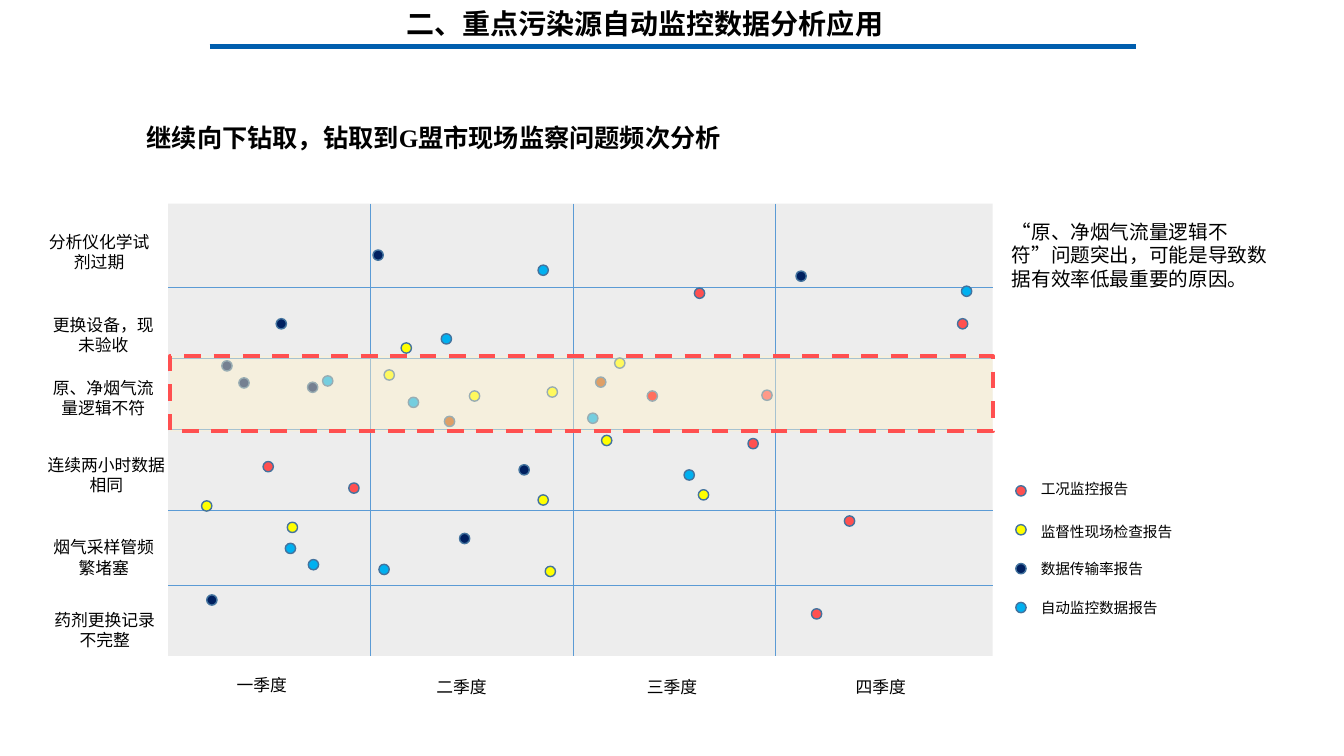
from lxml import etree
from pptx import Presentation
from pptx.dml.color import RGBColor
from pptx.enum.dml import MSO_LINE
from pptx.enum.lang import MSO_LANGUAGE_ID
from pptx.enum.shapes import MSO_CONNECTOR, MSO_SHAPE
from pptx.enum.text import PP_ALIGN
from pptx.oxml.ns import qn
from pptx.util import Cm, Pt

LEFT, CENTER = PP_ALIGN.LEFT, PP_ALIGN.CENTER
STRAIGHT = MSO_CONNECTOR.STRAIGHT
RECT, OVAL = MSO_SHAPE.RECTANGLE, MSO_SHAPE.OVAL
DASH = MSO_LINE.DASH
CHINESE = MSO_LANGUAGE_ID.SIMPLIFIED_CHINESE
SANS, SERIF = "Noto Sans CJK SC", "Times New Roman"

BLACK = RGBColor(0x00, 0x00, 0x00)
RULE_BLUE = RGBColor(0x00, 0x5E, 0xAE)
GRID_BLUE = RGBColor(0x5B, 0x9B, 0xD5)
DOT_LINE = RGBColor(0x43, 0x73, 0x9E)
PLOT_GREY = RGBColor(0xED, 0xED, 0xED)
CREAM = RGBColor(0xFF, 0xF2, 0xCC)
NAVY = RGBColor(0x00, 0x20, 0x60)
SKY = RGBColor(0x00, 0xB0, 0xF0)
ORANGE = RGBColor(0xC5, 0x5A, 0x11)
YELLOW = RGBColor(0xFF, 0xFF, 0x00)
CORAL = RGBColor(0xFF, 0x50, 0x50)
RED = RGBColor(0xFF, 0x00, 0x00)

DOT = 0.26
# Positions in cm from the top left corner of the plot
DOTS = [
    (NAVY, [(0.97, 9.86), (7.34, 8.31), (8.84, 6.58), (15.82, 1.7), (5.16, 1.17),
            (2.72, 2.9), (3.51, 4.5), (1.35, 3.96), (1.78, 4.39)]),
    (SKY, [(5.31, 9.09), (10.57, 5.28), (13, 6.71), (19.99, 2.08), (9.32, 1.55),
           (6.88, 3.28), (6.05, 4.88), (2.95, 8.56), (3.89, 4.34), (3.53, 8.97)]),
    (ORANGE, [(6.96, 5.36), (10.77, 4.37)]),
    (YELLOW, [(10.92, 5.84), (13.36, 7.21), (3, 8.03), (7.59, 4.72), (9.55, 4.62),
              (11.25, 3.89), (9.32, 7.34), (9.5, 9.14), (0.84, 7.49), (5.44, 4.19),
              (5.87, 3.51)]),
    (CORAL, [(19.89, 2.9), (17.04, 7.87), (16.21, 10.21), (13.26, 2.13),
             (14.96, 4.7), (4.55, 7.04), (14.61, 5.92), (2.39, 6.5)]),
    (RED, [(12.07, 4.72)]),
]
ROW_LINES = [2.11, 3.91, 5.69, 7.72, 9.63]
ROWS = [  # label, top, width, font
    ("分析仪化学试剂过期", 0.58, 3.12, SERIF),
    ("更换设备，现未验收", 2.67, 3.33, SERIF),
    ("原、净烟气流量逻辑不符", 4.27, 3.33, SANS),
    ("连续两小时数据相同", 6.2, 3.48, SERIF),
    ("烟气采样管频繁堵塞", 8.28, 3.35, SERIF),
    ("药剂更换记录不完整", 10.11, 3.4, SERIF),
]
QUARTERS = [("一季度", 0.66, 11.76), ("二季度", 5.69, 11.79),
            ("三季度", 11, 11.79), ("四季度", 16.26, 11.81)]
LEGEND = [("工况监控报告", CORAL, 0), ("监督性现场检查报告", YELLOW, 1.09),
          ("数据传输率报告", NAVY, 2.01), ("自动监控数据报告", SKY, 3)]


def add_text(s, text, x, y, w, h, size, font=SANS, align=LEFT, bold=False):
    tf = s.shapes.add_textbox(Cm(x), Cm(y), Cm(w), Cm(h)).text_frame
    tf.word_wrap = True
    p = tf.paragraphs[0]
    p.text = text
    p.alignment = align
    f = p.runs[0].font
    f.name, f.size, f.bold = font, Pt(size), bold
    f.color.rgb = BLACK
    f.language_id = CHINESE
    latin = p.runs[0]._r.rPr.find(qn("a:latin"))
    ea = etree.Element(qn("a:ea"), typeface=SANS)
    latin.addnext(ea)
    return p


def add_line(s, x1, y1, x2, y2, color, width):
    line = s.shapes.add_connector(STRAIGHT, Cm(x1), Cm(y1), Cm(x2), Cm(y2))
    line.line.color.rgb = color
    line.line.width = Pt(width)
    etree.SubElement(line._element.spPr, qn("a:effectLst"))


def add_filled(s, kind, x, y, w, h, fill, line=None, width=1):
    sp = s.shapes.add_shape(kind, Cm(x), Cm(y), Cm(w), Cm(h))
    sp.shadow.inherit = False
    sp.fill.solid()
    sp.fill.fore_color.rgb = fill
    if line is None:
        sp.line.fill.background()
    else:
        sp.line.color.rgb = line
        sp.line.width = Pt(width)
    return sp


def add_dot(s, x, y, color):
    add_filled(s, OVAL, x, y, DOT, DOT, color, DOT_LINE)


def add_header(s, x, y, w):
    add_line(s, x, y + 1.17, x + w, y + 1.17, RULE_BLUE, 3)
    p = add_text(s, "二、重点污染源自动监控数据分析应用", x + 1.37, y + 0.13, 19.2, 1.02,
                 20, align=CENTER, bold=True)
    p.line_spacing = 0.9


def add_plot(s, x, y, w, h):
    # Background and grid
    add_filled(s, RECT, x, y, w, h, PLOT_GREY)
    for i in range(1, 4):
        column = x + 5.1 * i
        add_line(s, column, y, column, y + h, GRID_BLUE, 0.5)
    for row in ROW_LINES:
        add_line(s, x, y + row, x + w, y + row, GRID_BLUE, 0.5)
    # Axis labels
    for label, top, width, font in ROWS:
        add_text(s, label, x - 3.3, y + top, width, 1.27, 12, font, CENTER)
    for label, left, top in QUARTERS:
        add_text(s, label, x + left, y + top, 3.4, 0.76, 12, SERIF, CENTER)
    # Dots
    for color, points in DOTS:
        for dx, dy in points:
            add_dot(s, x + dx, y + dy, color)
    # Translucent highlight over the third row
    band = add_filled(s, RECT, x + 0.05, y + 3.84, w - 0.05, 1.9, CREAM, CORAL, 3)
    band.line.dash_style = DASH
    color = band._element.spPr.find(qn("a:solidFill"))[0]
    etree.SubElement(color, qn("a:alpha"), val="46000")


def add_legend(s, x, y):
    for i, (label, color, top) in enumerate(LEGEND):
        add_dot(s, x, y + 0.28 + 0.98 * i, color)
        add_text(s, label, x + 0.38, y + top, 4.6, 0.71, 10.5)


def main():
    prs = Presentation()
    prs.slide_width, prs.slide_height = Cm(33.87), Cm(19.05)
    s = prs.slides.add_slide(prs.slide_layouts[6])
    add_header(s, 5.28, 0, 23.35)
    add_text(s, "继续向下钻取，钻取到G盟市现场监察问题频次分析", 3.45, 2.97, 15.11, 1.02,
             18, SERIF, bold=True)
    add_plot(s, 4.24, 5.13, 20.78, 11.4)
    add_legend(s, 25.6, 11.96)
    add_text(s, "“原、净烟气流量逻辑不符”问题突出，可能是导致数据有效率低最重要的原因。",
             25.25, 5.41, 7.04, 2.06, 14)
    prs.save("out.pptx")


if __name__ == "__main__":
    main()
